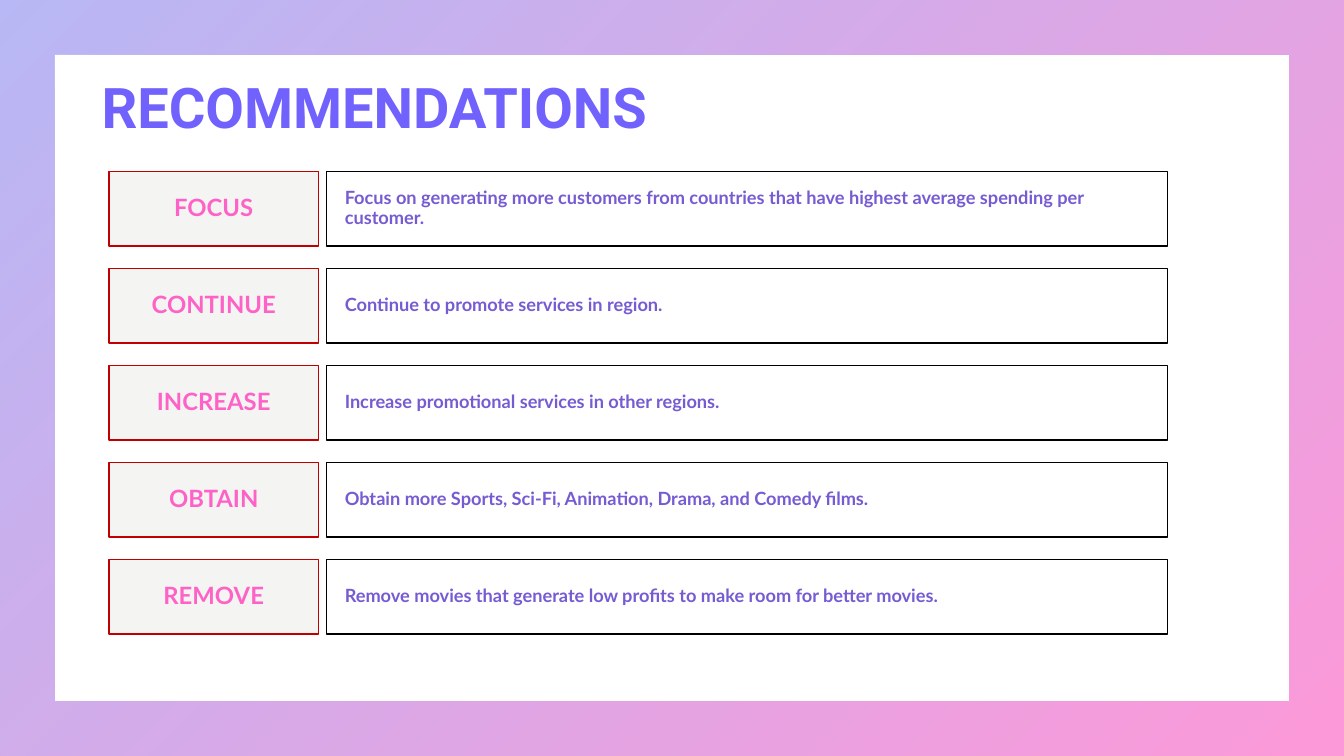
from pptx import Presentation, util as u
from pptx.dml.color import RGBColor
from pptx.enum import shapes, text
from pptx.oxml.ns import qn
from lxml import etree

# Content
TITLE = "RECOMMENDATIONS"
ROWS = [
    ("FOCUS", "Focus on generating more customers from countries that have "
              "highest average spending per customer."),
    ("CONTINUE", "Continue to promote services in region."),
    ("INCREASE", "Increase promotional services in other regions."),
    ("OBTAIN", "Obtain more Sports, Sci-Fi, Animation, Drama, and Comedy films."),
    ("REMOVE", "Remove movies that generate low profits to make room for better movies."),
]
COLORS = {
    "frame_start": "4D4EE6", "frame_end": "F900A0", "title": "7162FE",
    "label_fill": "F4F4F3", "label_line": "C00000", "label_text": "FF62C7",
    "action_fill": "FFFFFF", "action_line": "000000", "action_text": "765BD2",
}

# Grid in inches
W, H = 13.33, 7.5
TOP, PITCH, ROW_H = 1.7, 0.9625, 0.74
COLUMNS = [  # kind, left, width, side inset, font size, alignment
    ("label", 1.08, 2.08, 0.12, 17, text.PP_ALIGN.CENTER),
    ("action", 3.24, 8.34, 0.18, 13, text.PP_ALIGN.LEFT),
]


def rgb(name):
    return RGBColor.from_string(COLORS[name])


def write(sp, words, font, size, color, align, side):
    tf = sp.text_frame
    tf.text = words
    tf.word_wrap = True
    tf.vertical_anchor = text.MSO_ANCHOR.MIDDLE
    tf.margin_left = tf.margin_right = u.Inches(side)
    tf.margin_top = tf.margin_bottom = u.Inches(0.05)
    p = tf.paragraphs[0]
    p.alignment, p.line_spacing = align, 0.9
    f = p.runs[0].font
    f.name, f.size, f.bold = font, u.Pt(size), True
    f.color.rgb = rgb(color)


prs = Presentation()
prs.slide_width, prs.slide_height = u.Inches(W), u.Inches(H)
s = prs.slides.add_slide(prs.slide_layouts[6])

# Gradient frame around the slide
frame = s.shapes.add_shape(shapes.MSO_SHAPE.FRAME, 0, 0, prs.slide_width, prs.slide_height)
frame.adjustments[0] = 0.072
frame.shadow.inherit = False
frame.line.fill.background()
frame.fill.gradient()
frame.fill.gradient_angle = 315
for stop, name in zip(frame.fill.gradient_stops, ("frame_start", "frame_end")):
    stop.color.rgb = rgb(name)
for clr in frame._element.spPr.iter(qn("a:srgbClr")):
    etree.SubElement(clr, qn("a:alpha")).set("val", "40000")

# Title
title = s.shapes.add_textbox(*map(u.Inches, (0.91, 0.73, 8.71, 0.74)))
write(title, TITLE, "Roboto", 40, "title", text.PP_ALIGN.LEFT, 0.1)

# One label and one action box per row
for i, row in enumerate(ROWS):
    for words, (kind, left, width, side, size, align) in zip(row, COLUMNS):
        box = s.shapes.add_shape(
            shapes.MSO_SHAPE.RECTANGLE,
            *map(u.Inches, (left, TOP + i * PITCH, width, ROW_H)))
        box.shadow.inherit = False
        box.fill.solid()
        box.fill.fore_color.rgb = rgb(kind + "_fill")
        box.line.color.rgb = rgb(kind + "_line")
        box.line.width = u.Pt(1)
        write(box, words, "Lato", size, kind + "_text", align, side)

prs.save("out.pptx")
